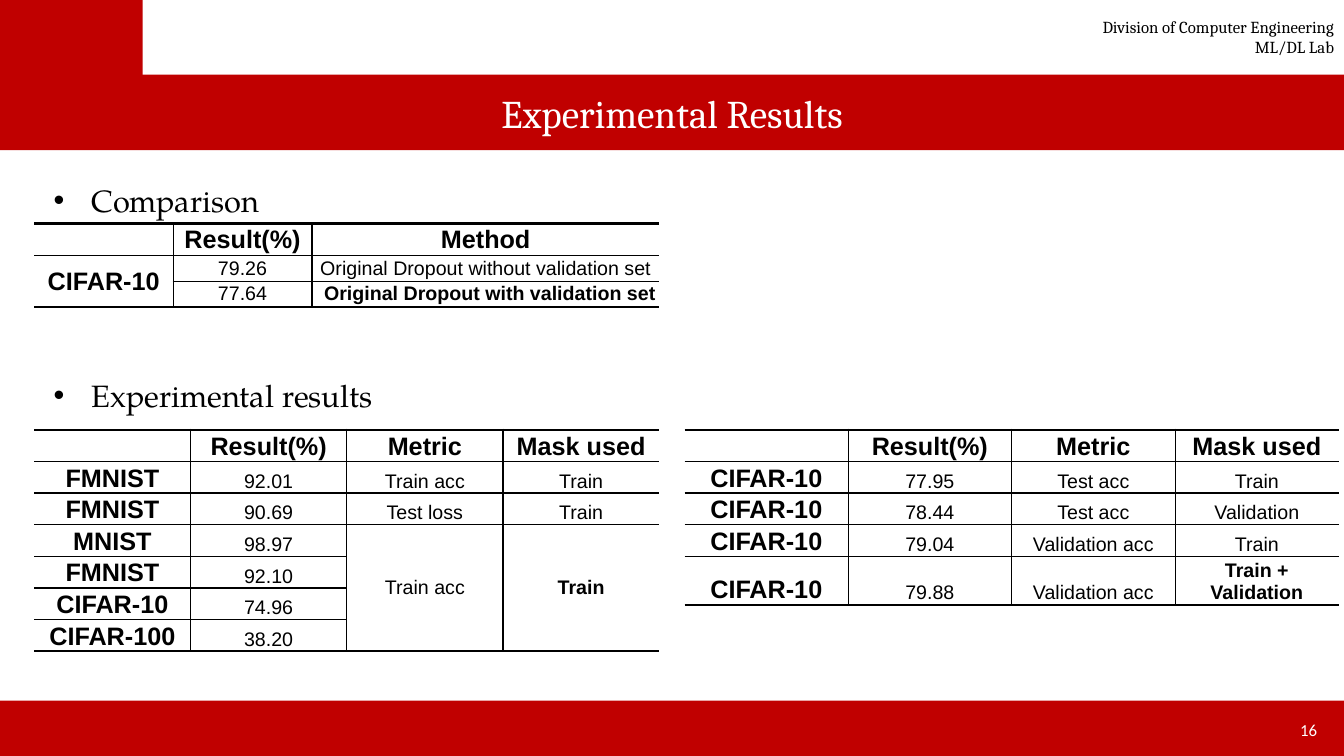
from lxml.etree import SubElement
from pptx import Presentation
from pptx.dml.color import RGBColor
from pptx.enum.shapes import MSO_SHAPE
from pptx.enum.text import MSO_ANCHOR, PP_ALIGN
from pptx.oxml.ns import qn
from pptx.util import Pt

RED, WHITE, BLACK = "C00000", "FFFFFF", "000000"

COMPARISON = [
    ["", "Result(%)", "Method"],
    ["CIFAR-10", "79.26", "Original Dropout without validation set"],
    [None, "77.64", "Original Dropout with validation set"],
]
RESULT_HEADER = ["", "Result(%)", "Metric", "Mask used"]
TRAINING_RESULTS = [
    RESULT_HEADER,
    ["FMNIST", "92.01", "Train acc", "Train"],
    ["FMNIST", "90.69", "Test loss", "Train"],
    ["MNIST", "98.97", "Train acc", "Train"],
    ["FMNIST", "92.10", None, None],
    ["CIFAR-10", "74.96", None, None],
    ["CIFAR-100", "38.20", None, None],
]
VALIDATION_RESULTS = [
    RESULT_HEADER,
    ["CIFAR-10", "77.95", "Test acc", "Train"],
    ["CIFAR-10", "78.44", "Test acc", "Validation"],
    ["CIFAR-10", "79.04", "Validation acc", "Train"],
    ["CIFAR-10", "79.88", "Validation acc", "Train + Validation"],
]


def color(value):
    """Turn a hex string into a colour."""
    return RGBColor.from_string(value)


def set_format(target, values):
    """Set every attribute named in the dict."""
    for name, value in values.items():
        setattr(target, name, value)


def set_fill(target, value):
    """Give a shape or cell a solid fill."""
    target.fill.solid()
    target.fill.fore_color.rgb = color(value)


def write_text(paragraph, text, font_name, size, text_color=BLACK, bold=False):
    """Add one formatted run to a paragraph."""
    run = paragraph.add_run()
    run.text = text
    set_format(run.font, {"name": font_name, "size": Pt(size), "bold": bold})
    run.font.color.rgb = color(text_color)


def add_bar(slide, left, top, width, height):
    """Add a plain red rectangle."""
    shape = slide.shapes.add_shape(
        MSO_SHAPE.RECTANGLE, Pt(left), Pt(top), Pt(width), Pt(height))
    shape.shadow.inherit = False
    set_fill(shape, RED)
    shape.line.fill.background()


def add_text(slide, bounds, lines, font_name, size, text_color=BLACK,
             alignment=PP_ALIGN.LEFT, anchor=MSO_ANCHOR.MIDDLE):
    """Add a text box with one paragraph a line and return its frame."""
    frame = slide.shapes.add_textbox(*map(Pt, bounds)).text_frame
    set_format(frame, {"word_wrap": True, "vertical_anchor": anchor})
    for index, line in enumerate(lines):
        paragraph = frame.add_paragraph() if index else frame.paragraphs[0]
        paragraph.alignment = alignment
        write_text(paragraph, line, font_name, size, text_color)
    return frame


def add_heading(slide, top, width, text):
    """Add a bulleted section heading."""
    frame = add_text(slide, (24.5, top, width, 47.5), [text],
                     "TeX Gyre Pagella", 22, anchor=MSO_ANCHOR.BOTTOM)
    paragraph = frame.paragraphs[0]
    set_format(paragraph, {"line_spacing": 1.5, "space_before": Pt(4.8)})
    properties = paragraph._p.get_or_add_pPr()
    properties.set("marL", str(Pt(33.75)))
    properties.set("indent", str(Pt(-27)))
    SubElement(properties, qn("a:buFont"), typeface="Arial")
    SubElement(properties, qn("a:buChar"), char="•")


def set_borders(cell, weights):
    """Draw the left, right, top and bottom lines; zero means no line."""
    properties = cell._tc.get_or_add_tcPr()
    for position, (side, weight) in enumerate(zip("LRTB", weights)):
        line = properties.makeelement(qn(f"a:ln{side}"), {"w": str(Pt(weight))})
        properties.insert(position, line)
        if weight:
            fill = SubElement(line, qn("a:solidFill"))
            SubElement(fill, qn("a:srgbClr"), val=BLACK)
        else:
            SubElement(line, qn("a:noFill"))


def merge_downwards(table, rows):
    """Merge each cell with the empty places listed under it."""
    for column in range(len(rows[0])):
        texts = [row[column] for row in rows]
        if None in texts:
            first = texts.index(None) - 1
            table.cell(first, column).merge(table.cell(len(rows) - 1, column))


def add_results(slide, left, top, widths, heights, rows, bold_cells, anchor):
    """Add a ruled table with open sides and return it."""
    table = slide.shapes.add_table(
        len(rows), len(widths), Pt(left), Pt(top),
        Pt(sum(widths)), Pt(sum(heights))).table
    set_format(table, {"first_row": False, "horz_banding": False})
    for column, width in zip(table.columns, widths):
        column.width = Pt(width)
    for row, height in zip(table.rows, heights):
        row.height = Pt(height)
    merge_downwards(table, rows)
    for row_index, row in enumerate(rows):
        for column_index, text in enumerate(row):
            cell = table.cell(row_index, column_index)
            set_format(cell, {
                "margin_left": Pt(1.4), "margin_right": Pt(1.4),
                "margin_top": Pt(0.5), "margin_bottom": Pt(0.5),
                "vertical_anchor":
                    MSO_ANCHOR.MIDDLE if cell.is_merge_origin else anchor})
            set_fill(cell, WHITE)
            last = cell.is_merge_origin or row_index == len(rows) - 1
            top_weight = 0 if cell.is_spanned else 1 if row_index else 2
            bottom_weight = 2 if last else 0 if cell.is_spanned else 1
            set_borders(cell, (int(column_index > 0),
                               int(column_index < len(row) - 1),
                               top_weight, bottom_weight))
            paragraph = cell.text_frame.paragraphs[0]
            paragraph.alignment = PP_ALIGN.CENTER
            label = row_index == 0 or column_index == 0
            if text:
                write_text(paragraph, text, "Arial", 18 if label else 14,
                           bold=label or (row_index, column_index) in bold_cells)
            else:
                SubElement(paragraph._p, qn("a:endParaRPr"), sz="1400")
    return table


def main():
    """Build the slide and save it."""
    presentation = Presentation()
    set_format(presentation, {"slide_width": Pt(960), "slide_height": Pt(540)})
    slide = presentation.slides.add_slide(presentation.slide_layouts[6])

    add_bar(slide, 0, 500.4, 960, 39.6)
    add_bar(slide, 0, 53.3, 960, 54)
    add_bar(slide, 0, 0, 102, 54)
    add_text(slide, (699, 8.6, 261, 36),
             ["Division of Computer Engineering", "ML/DL Lab"],
             "Cambria", 12, alignment=PP_ALIGN.RIGHT)
    add_text(slide, (0, 54, 960, 52.6), ["Experimental Results"],
             "Cambria", 28, WHITE, PP_ALIGN.CENTER)
    add_text(slide, (732, 510.5, 216, 21), ["16"],
             "Calibri", 12, WHITE, PP_ALIGN.RIGHT)

    add_heading(slide, 112.3, 199.5, "Comparison")
    add_heading(slide, 251.3, 353.5, "Experimental results")
    comparison = add_results(
        slide, 24.5, 159.8, [99.2, 99.2, 248.2], [23, 18.2, 18.2],
        COMPARISON, {(2, 2)}, MSO_ANCHOR.MIDDLE)
    validated = comparison.cell(2, 2)
    validated.margin_left = Pt(8.6)
    validated.text_frame.paragraphs[0].alignment = PP_ALIGN.LEFT
    add_results(slide, 24.5, 307, [111.6] * 4, [21.6] * 7,
                TRAINING_RESULTS, {(3, 3)}, MSO_ANCHOR.BOTTOM)
    add_results(slide, 489, 307, [116.8] * 4, [21.6] * 4 + [33.2],
                VALIDATION_RESULTS, {(4, 3)}, MSO_ANCHOR.BOTTOM)
    presentation.save("out.pptx")


if __name__ == "__main__":
    main()
